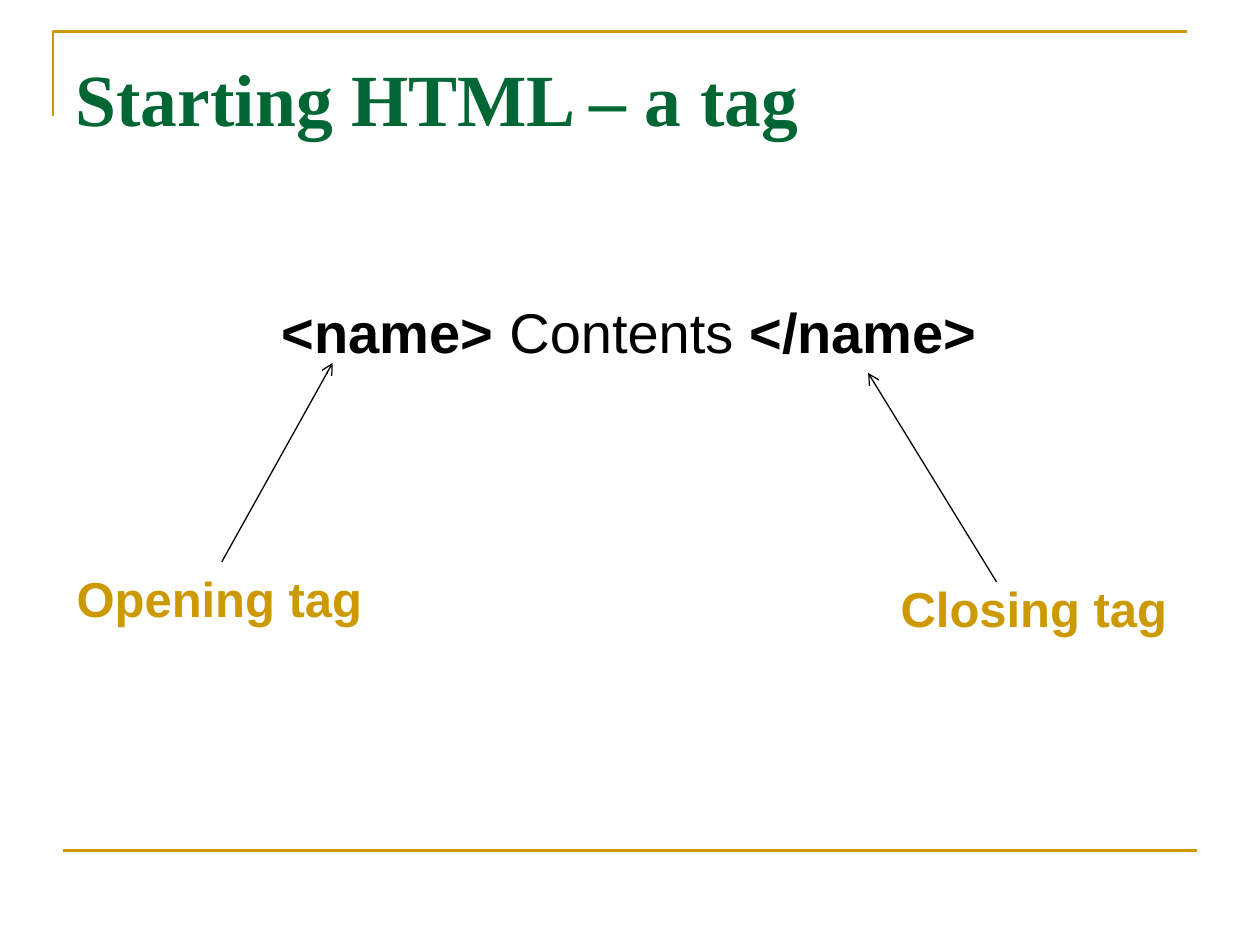
"""Build a slide that explains the opening and closing tags of HTML."""
from lxml import etree
from pptx import Presentation
from pptx.dml.color import RGBColor
from pptx.enum.shapes import MSO_CONNECTOR
from pptx.enum.text import MSO_ANCHOR, MSO_AUTO_SIZE, PP_ALIGN
from pptx.oxml.ns import qn
from pptx.util import Inches, Pt

STRAIGHT = MSO_CONNECTOR.STRAIGHT
TOP = MSO_ANCHOR.TOP
NO_AUTOFIT = MSO_AUTO_SIZE.NONE
GROW = MSO_AUTO_SIZE.SHAPE_TO_FIT_TEXT
LEFT, CENTER = PP_ALIGN.LEFT, PP_ALIGN.CENTER
GOLD, GREEN, BLACK = "CC9900", "006633", "000000"


def add_run(paragraph, text, size, color, bold=True, font="Arial"):
    run = paragraph.add_run()
    run.text = text
    run.font.name = font
    run.font.size = Pt(size)
    run.font.bold = bold
    run.font.color.rgb = RGBColor.from_string(color)


def add_line(start, end, color, width):
    line = slide.shapes.add_connector(STRAIGHT, *map(Inches, start + end))
    line.line.color.rgb = RGBColor.from_string(color)
    line.line.width = Pt(width)
    etree.SubElement(line._element.spPr, qn("a:effectLst"))
    return line


presentation = Presentation()
presentation.slide_width = Inches(10)
presentation.slide_height = Inches(7.5)
slide = presentation.slides.add_slide(presentation.slide_layouts[1])

builder = slide.shapes.build_freeform(Inches(0.42), Inches(0.92))
builder.add_line_segments(
    [(Inches(0.42), Inches(0.25)), (Inches(9.42), Inches(0.25))], close=False
)
corner = builder.convert_to_shape()
corner.shadow.inherit = False
corner.fill.background()
corner.line.color.rgb = RGBColor.from_string(GOLD)
corner.line.width = Pt(1.5)
add_line((0.5, 6.75), (9.5, 6.75), GOLD, 1.5)

title = slide.shapes.title
body = slide.placeholders[1]
for placeholder, box, alignment in (
    (title, (0.5, 0.3, 9, 1.25), LEFT),
    (body, (0.35, 2.31, 9.29, 3.95), CENTER),
):
    placeholder.left, placeholder.top, placeholder.width, placeholder.height = map(Inches, box)
    frame = placeholder.text_frame
    frame.auto_size = NO_AUTOFIT
    frame.vertical_anchor = TOP
    frame.paragraphs[0].alignment = alignment

title.text_frame.margin_top = Inches(0.12)
add_run(title.text_frame.paragraphs[0], "Starting HTML – a tag", 42, GREEN, font="Times New Roman")

example = body.text_frame.paragraphs[0]
example.space_before = Pt(0)
properties = example._p.get_or_add_pPr()
properties.set("marL", "0")
properties.set("indent", "0")
etree.SubElement(properties, qn("a:buNone"))
for text, bold in (("<name> ", True), ("Contents ", False), ("</name>", True)):
    add_run(example, text, 32, BLACK, bold)

for label, box, start, end in (
    ("Opening tag", (0.51, 4.46, 2.49, 0.57), (1.76, 4.46), (2.64, 2.88)),
    ("Closing tag", (7.05, 4.54, 2.34, 0.57), (7.91, 4.62), (6.89, 2.96)),
):
    text_box = slide.shapes.add_textbox(*map(Inches, box))
    text_box.text_frame.word_wrap = False
    text_box.text_frame.auto_size = GROW
    add_run(text_box.text_frame.paragraphs[0], label, 28, GOLD)
    arrow = add_line(start, end, BLACK, 0.75)
    etree.SubElement(arrow.line._get_or_add_ln(), qn("a:tailEnd"), type="arrow")

presentation.save("out.pptx")
